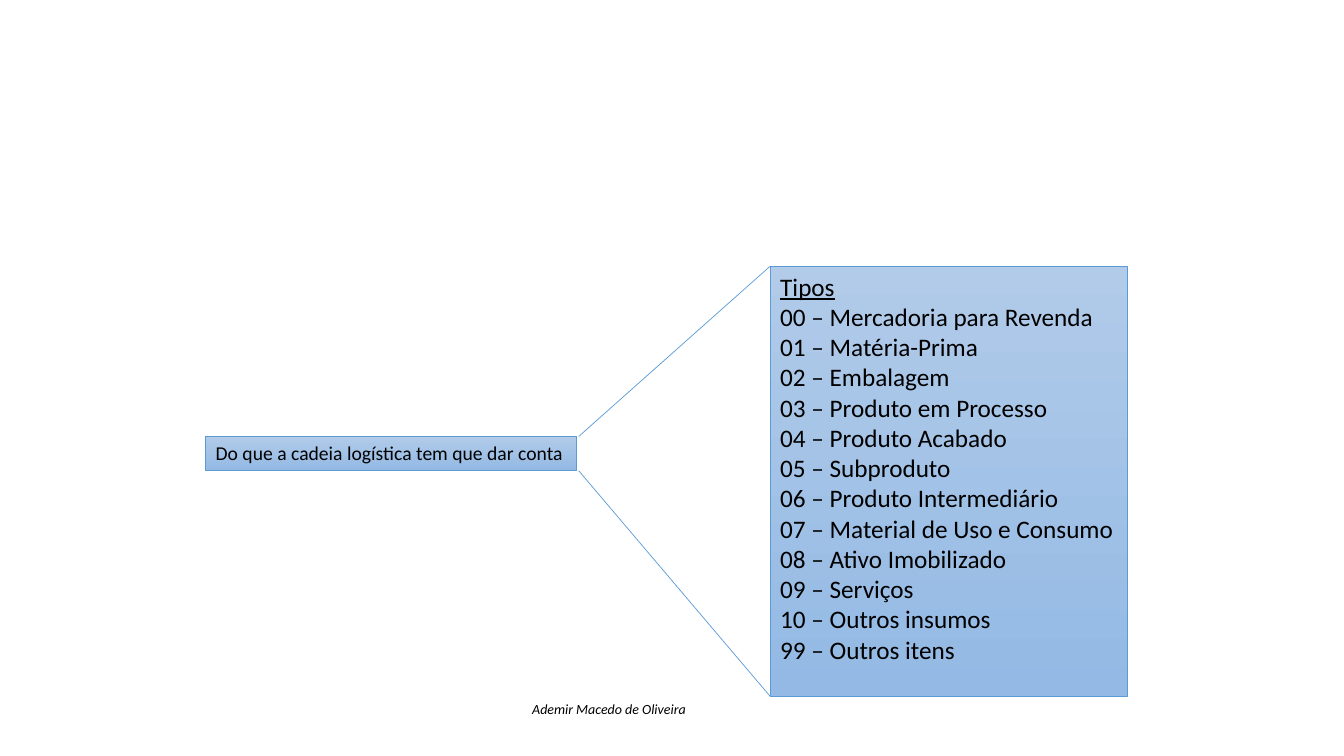
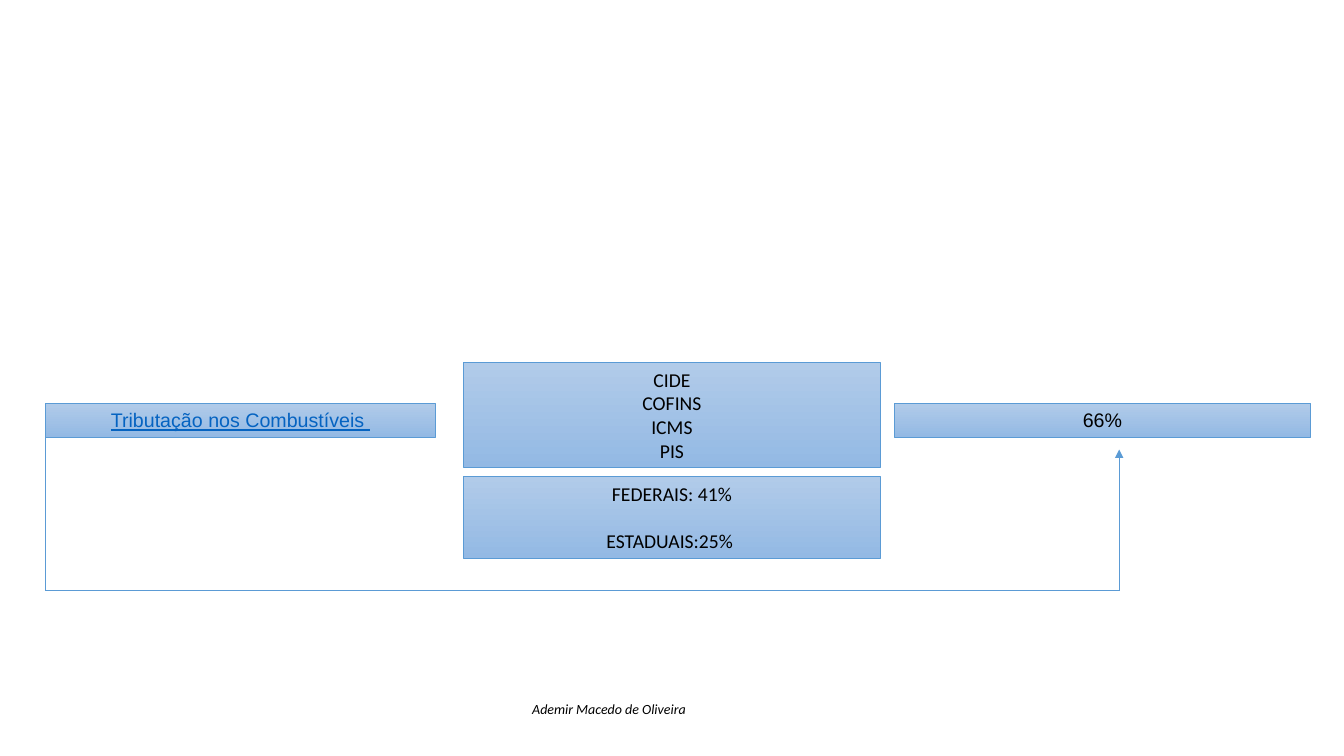
from lxml.etree import SubElement
from pptx import Presentation
from pptx.dml.color import RGBColor
from pptx.enum.shapes import MSO_CONNECTOR, MSO_SHAPE
from pptx.enum.text import MSO_ANCHOR, PP_ALIGN
from pptx.oxml.ns import qn
from pptx.util import Inches, Pt

COLORS = {
    "text": "000000",
    "link": "0563C1",
    "line": "5B9BD5",
    "box_top": "B1CBE9",
    "box_bottom": "93B9E4",
}
LINE_WIDTH = Pt(0.5)
BOX_HEIGHT = 0.34

ITEM_TYPES = [
    "00 – Mercadoria para Revenda",
    "01 – Matéria-Prima",
    "02 – Embalagem",
    "03 – Produto em Processo",
    "04 – Produto Acabado",
    "05 – Subproduto",
    "06 – Produto Intermediário",
    "07 – Material de Uso e Consumo",
    "08 – Ativo Imobilizado",
    "09 – Serviços",
    "10 – Outros insumos",
    "99 – Outros itens",
]


def color(name):
    return RGBColor.from_string(COLORS[name])


def write_text(shape, lines, size=14, font="Calibri", fill="text", align=PP_ALIGN.CENTER,
               italic=False, underline=False, gap=0):
    """Write one paragraph per line, with gap points between paragraphs."""
    frame = shape.text_frame
    frame.word_wrap = True
    frame.vertical_anchor = MSO_ANCHOR.TOP
    for index, line in enumerate(lines):
        paragraph = frame.add_paragraph() if index else frame.paragraphs[0]
        paragraph.alignment = align
        if index and gap:
            paragraph.space_before = Pt(gap)
        run = paragraph.add_run()
        run.text = line
        run.font.size = Pt(size)
        run.font.name = font
        run.font.italic = italic
        run.font.underline = underline
        run.font.color.rgb = color(fill)


def add_box(slide, box, lines, **text_format):
    shape = slide.shapes.add_shape(MSO_SHAPE.RECTANGLE, *map(Inches, box))
    shape.shadow.inherit = False
    shape.fill.gradient()
    shape.fill.gradient_angle = 270
    for stop, name in zip(shape.fill.gradient_stops, ("box_top", "box_bottom")):
        stop.color.rgb = color(name)
    shape.line.color.rgb = color("line")
    shape.line.width = LINE_WIDTH
    write_text(shape, lines, **text_format)
    return shape


def add_line(slide, start, end, arrow=False):
    connector = slide.shapes.add_connector(MSO_CONNECTOR.STRAIGHT, *map(Inches, start + end))
    connector.line.color.rgb = color("line")
    connector.line.width = LINE_WIDTH
    properties = connector._element.spPr
    if arrow:
        SubElement(properties.find(qn("a:ln")), qn("a:tailEnd"), type="triangle")
    SubElement(properties, qn("a:effectLst"))


def add_slide(presentation):
    """Add a blank slide with the author's name at the bottom."""
    slide = presentation.slides.add_slide(presentation.slide_layouts[6])
    footer = slide.shapes.add_textbox(Inches(3.88), Inches(6.9), Inches(4.32), Inches(0.27))
    write_text(footer, ["Ademir Macedo de Oliveira"], size=10, italic=True)
    return slide


def add_item_types(slide, box):
    left, top, width, height = box
    shape = add_box(slide, box, ["Tipos"] + ITEM_TYPES, size=18, align=PP_ALIGN.LEFT)
    shape.text_frame.paragraphs[0].runs[0].font.underline = True

    question_left, question_top, question_width = 2.04, 4.33, 3.68
    add_box(slide, (question_left, question_top, question_width, BOX_HEIGHT),
            ["Do que a cadeia logística tem que dar conta"], align=PP_ALIGN.LEFT)
    fan_left = question_left + question_width + 0.02
    add_line(slide, (fan_left, question_top), (left, top))
    add_line(slide, (fan_left, question_top + BOX_HEIGHT), (left, top + height))


def add_fuel_taxes(slide, box):
    left, top, width, height = box
    tax_left, tax_width = left + 4.15, 4.13
    total_left = left + width - tax_width
    label_top = top + 0.4

    add_box(slide, (left, label_top, 3.87, BOX_HEIGHT), ["Tributação nos Combustíveis "],
            font="Arial", fill="link", underline=True)
    add_box(slide, (total_left, label_top, tax_width, BOX_HEIGHT), ["66%"], font="Arial")
    add_box(slide, (tax_left, top, tax_width, 1.04), ["CIDE", "COFINS", "ICMS", "PIS"])
    add_box(slide, (tax_left, top + 1.13, tax_width, 0.81),
            ["FEDERAIS: 41%", "ESTADUAIS:25% "], gap=17)

    bottom, arrow_left = top + height, 11.1
    route = [(left, label_top + BOX_HEIGHT), (left, bottom), (arrow_left, bottom),
             (arrow_left, label_top + 0.46)]
    for start, end in zip(route, route[1:]):
        add_line(slide, start, end, arrow=end == route[-1])


def main():
    presentation = Presentation()
    presentation.slide_width = Inches(13.33)
    presentation.slide_height = Inches(7.5)
    add_item_types(add_slide(presentation), (7.64, 2.64, 3.54, 4.27))
    add_fuel_taxes(add_slide(presentation), (0.45, 3.6, 12.55, 2.26))
    presentation.save("out.pptx")


if __name__ == "__main__":
    main()
